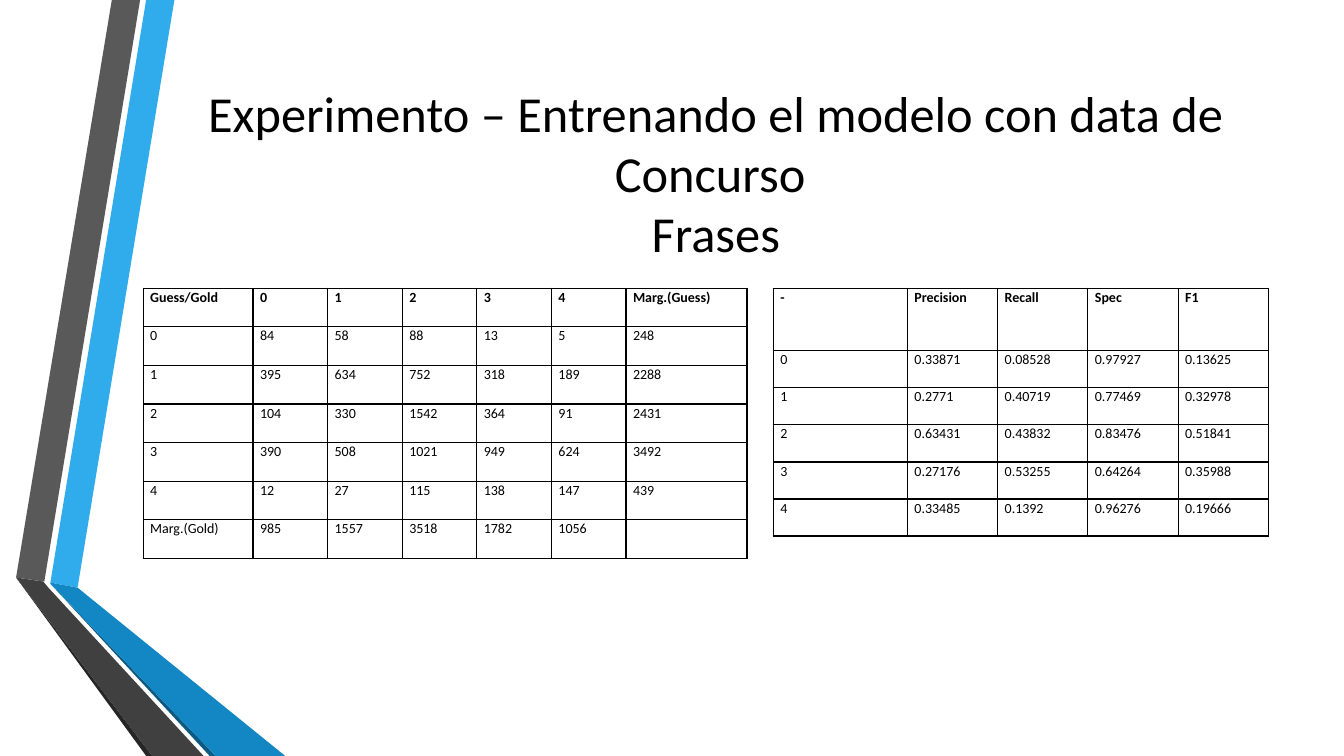
from lxml.etree import SubElement
from pptx import Presentation
from pptx.dml.color import RGBColor
from pptx.enum.text import MSO_ANCHOR, MSO_AUTO_SIZE, PP_ALIGN
from pptx.oxml.ns import qn
from pptx.util import Inches, Pt

BLACK = RGBColor(0x00, 0x00, 0x00)
SKY = RGBColor(0x30, 0xAC, 0xEC)
BLUE = RGBColor(0x12, 0x87, 0xC3)
NAVY = RGBColor(0x0C, 0x5A, 0x82)
GRAY = RGBColor(0x59, 0x59, 0x59)
CHARCOAL = RGBColor(0x40, 0x40, 0x40)
INK = RGBColor(0x26, 0x26, 0x26)
FONT = "Calibri"

RIBBONS = [
    (SKY, [(0.5, 5.78), (0.77, 5.83), (1.73, 0), (1.45, 0)]),
    (GRAY, [(1.39, 0), (1.11, 0), (0.16, 5.73), (0.44, 5.77)]),
    (INK, [(0.16, 5.73), (1.45, 7.5), (1.51, 7.5)]),
    (NAVY, [(0.5, 5.79), (2.08, 7.5), (2.14, 7.5)]),
    (BLUE, [(0.5, 5.79), (2.14, 7.5), (2.83, 7.5), (0.77, 5.83), (0.5, 5.78)]),
    (CHARCOAL, [(2.02, 7.5), (0.48, 5.83), (0.43, 5.77), (0.16, 5.73), (1.51, 7.5)]),
]

CONFUSION = [
    ["Guess/Gold", "0", "1", "2", "3", "4", "Marg.(Guess)"],
    ["0", "84", "58", "88", "13", "5", "248"],
    ["1", "395", "634", "752", "318", "189", "2288"],
    ["2", "104", "330", "1542", "364", "91", "2431"],
    ["3", "390", "508", "1021", "949", "624", "3492"],
    ["4", "12", "27", "115", "138", "147", "439"],
    ["Marg.(Gold)", "985", "1557", "3518", "1782", "1056", ""],
]

METRICS = [
    ["-", "Precision", "Recall", "Spec", "F1"],
    ["0", "0.33871", "0.08528", "0.97927", "0.13625"],
    ["1", "0.2771", "0.40719", "0.77469", "0.32978"],
    ["2", "0.63431", "0.43832", "0.83476", "0.51841"],
    ["3", "0.27176", "0.53255", "0.64264", "0.35988"],
    ["4", "0.33485", "0.1392", "0.96276", "0.19666"],
]


def add_run(paragraph, text, size, bold=False):
    run = paragraph.add_run()
    run.text = text
    run.font.name = FONT
    run.font.size = Pt(size)
    run.font.bold = bold
    run.font.color.rgb = BLACK


def add_ribbon(slide, color, points):
    start, *others = [(Inches(x), Inches(y)) for x, y in points]
    builder = slide.shapes.build_freeform(*start)
    builder.add_line_segments(others, close=True)
    shape = builder.convert_to_shape()
    shape.shadow.inherit = False
    shape.fill.solid()
    shape.fill.fore_color.rgb = color
    shape.line.fill.background()


def set_title(slide, lines):
    title = slide.shapes.title
    title.left, title.top = Inches(1.62), Inches(0.75)
    title.width, title.height = Inches(10.96), Inches(1.92)
    frame = title.text_frame
    frame.word_wrap = True
    frame.auto_size = MSO_AUTO_SIZE.NONE
    frame.vertical_anchor = MSO_ANCHOR.MIDDLE
    paragraph = frame.paragraphs[0]
    paragraph.alignment = PP_ALIGN.CENTER
    for index, line in enumerate(lines):
        if index:
            paragraph.add_line_break()
        add_run(paragraph, line, 36)
    title.element.getparent().append(title.element)


def add_borders(cell):
    properties = cell._tc.get_or_add_tcPr()
    for side in ("a:lnL", "a:lnR", "a:lnT", "a:lnB"):
        line = SubElement(properties, qn(side), w=str(Pt(1)))
        fill = SubElement(line, qn("a:solidFill"))
        SubElement(fill, qn("a:srgbClr"), val=str(BLACK))


def format_cell(cell, text, bold):
    add_borders(cell)
    cell.fill.background()
    cell.margin_left = cell.margin_right = Inches(0.07)
    cell.margin_top = cell.margin_bottom = 0
    paragraph = cell.text_frame.paragraphs[0]
    paragraph.alignment = PP_ALIGN.JUSTIFY
    paragraph.line_spacing = 1.05
    if text:
        add_run(paragraph, text, 10, bold)


def add_grid(slide, left, rows, widths, heights):
    frame = slide.shapes.add_table(
        len(rows), len(widths), Inches(left), Inches(2.86),
        Inches(sum(widths)), Inches(sum(heights)))
    table = frame.table
    table.first_row = table.horz_banding = False
    for column, width in zip(table.columns, widths):
        column.width = Inches(width)
    for row, height in zip(table.rows, heights):
        row.height = Inches(height)
    for row_index, texts in enumerate(rows):
        for column_index, text in enumerate(texts):
            format_cell(table.cell(row_index, column_index), text, row_index == 0)


def main():
    presentation = Presentation()
    presentation.slide_width = Inches(13.33)
    presentation.slide_height = Inches(7.5)
    slide = presentation.slides.add_slide(presentation.slide_layouts[5])
    for color, points in RIBBONS:
        add_ribbon(slide, color, points)
    set_title(slide, ["Experimento – Entrenando el modelo con data de Concurso ", "Frases"])
    add_grid(slide, 1.42, CONFUSION, [1.09] + [0.74] * 5 + [1.2], [2.68 / 7] * 7)
    add_grid(slide, 7.67, METRICS, [1.33] + [3.58 / 4] * 4, [0.62] + [1.84 / 5] * 5)
    presentation.save("out.pptx")


main()
